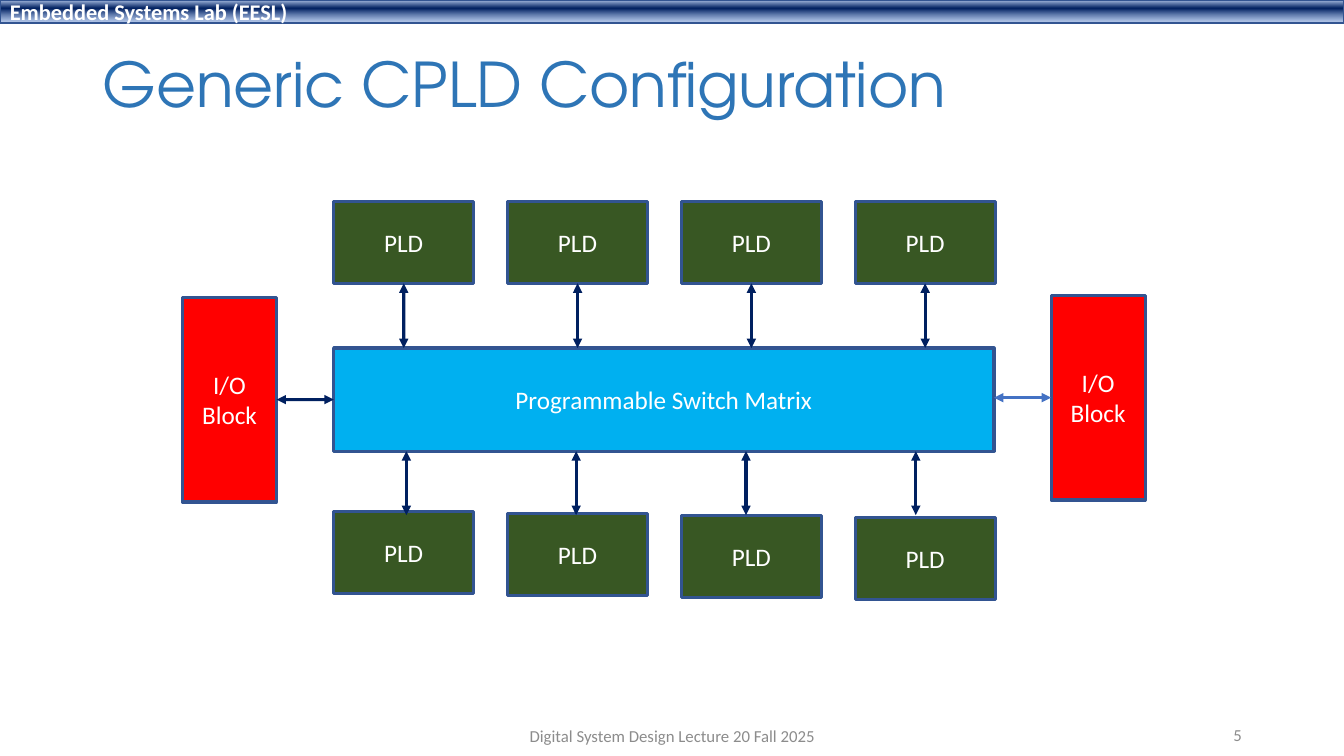
"""Build the slide that shows a generic CPLD configuration."""
from lxml import etree
from pptx import Presentation
from pptx.dml.color import RGBColor
from pptx.enum.shapes import MSO_CONNECTOR, MSO_SHAPE
from pptx.enum.text import MSO_ANCHOR, MSO_AUTO_SIZE, PP_ALIGN
from pptx.oxml.ns import qn
from pptx.util import Cm, Pt

RECT = MSO_SHAPE.RECTANGLE
STRAIGHT = MSO_CONNECTOR.STRAIGHT
MIDDLE = MSO_ANCHOR.MIDDLE
LEFT, CENTER, RIGHT = PP_ALIGN.LEFT, PP_ALIGN.CENTER, PP_ALIGN.RIGHT
BOTTOM_SITE, LEFT_SITE, RIGHT_SITE = 2, 1, 3

COLORS = {
    "outline": "325491", "navy": "002060", "blue": "4472C4",
    "title": "2E75B6", "matrix": "00B0F0", "pld": "385723",
    "io": "FF0000", "white": "FFFFFF", "grey": "8C8C8C",
    "band_top": "ABC0E4", "band_bottom": "7E9ED6",
}


def put_text(sp, text, size, color, align, font="Calibri", bold=False):
    tf = sp.text_frame
    tf.text = text
    tf.word_wrap = True
    tf.vertical_anchor = MIDDLE
    for p in tf.paragraphs:
        p.alignment = align
        for r in p.runs:
            r.font.name = font
            r.font.size = Pt(size)
            r.font.bold = bold
            r.font.color.rgb = RGBColor.from_string(COLORS[color])


def add_item(kind, x1, y1, x2, y2, color, text=""):
    if kind == "arrow":
        sp = s.shapes.add_connector(STRAIGHT, Cm(x1), Cm(y1), Cm(x2), Cm(y2))
        sp.line.color.rgb = RGBColor.from_string(COLORS[color])
        sp.line.width = Pt(2.25)
        ln = sp.line._get_or_add_ln()
        for end in ("a:headEnd", "a:tailEnd"):
            etree.SubElement(ln, qn(end), type="triangle")
        etree.SubElement(ln.getparent(), qn("a:effectLst"))
        return sp
    sp = s.shapes.add_shape(RECT, Cm(x1), Cm(y1), Cm(x2 - x1), Cm(y2 - y1))
    sp.shadow.inherit = False
    sp.fill.solid()
    sp.fill.fore_color.rgb = RGBColor.from_string(COLORS[color])
    sp.line.color.rgb = RGBColor.from_string(COLORS["outline"])
    sp.line.width = Pt(2.25)
    put_text(sp, text, 18, "white", CENTER)
    return sp


prs = Presentation()
prs.slide_width, prs.slide_height = Cm(33.87), Cm(19.05)
s = prs.slides.add_slide(prs.slide_layouts[5])

band = add_item("box", 0, 0, 33.87, 0.58, "navy")
band.line.width = Pt(1)
put_text(band, "Embedded Systems Lab (EESL)", 16, "white", LEFT, bold=True)
band.fill.gradient()
band.fill.gradient_angle = 270
stops = band.fill._fill._gradFill.find(qn("a:gsLst"))
for stop in list(stops):
    stops.remove(stop)
for percent, color, alpha in ((2, "band_top", 100), (38, "navy", 100), (93, "band_bottom", 64)):
    stop = etree.SubElement(stops, qn("a:gs"), pos=str(percent * 1000))
    rgb = etree.SubElement(stop, qn("a:srgbClr"), val=COLORS[color])
    etree.SubElement(rgb, qn("a:alpha"), val=str(alpha * 1000))

title = s.shapes.title
title.left, title.top, title.width, title.height = Cm(2.33), Cm(1.02), Cm(29.21), Cm(2.36)
put_text(title, "Generic CPLD Configuration", 44, "title", LEFT, "TeX Gyre Adventor")
title.text_frame.auto_size = MSO_AUTO_SIZE.NONE
title.text_frame.paragraphs[0].line_spacing = 0.9

matrix_x, matrix_y, matrix_right, matrix_bottom = 8.41, 8.77, 25.05, 11.37
matrix = add_item("box", matrix_x, matrix_y, matrix_right, matrix_bottom,
                  "matrix", "Programmable Switch Matrix")

pld_w, pld_h, pld_step = 3.53, 2.06, 4.38
upper_y, lower_y = 5.08, 12.9
for i in range(4):
    x = matrix_x + i * pld_step
    y = lower_y + i * 0.05
    upper = add_item("box", x, upper_y, x + pld_w, upper_y + pld_h, "pld", "PLD")
    add_item("box", x, y, x + pld_w, y + pld_h, "pld", "PLD")
    mid = x + pld_w / 2
    arrow = add_item("arrow", mid, upper_y + pld_h, mid, matrix_y, "navy")
    arrow.begin_connect(upper, BOTTOM_SITE)
    arrow_x = 10.24 + i * 4.28
    add_item("arrow", arrow_x, matrix_bottom, arrow_x, 12.98, "navy")

io_w, io_h = 2.37, 5.16
left_x, left_y, right_x, right_y = 4.6, 7.49, 26.49, 7.44
left_io = add_item("box", left_x, left_y, left_x + io_w, left_y + io_h, "io", "I/O\nBlock")
right_io = add_item("box", right_x, right_y, right_x + io_w, right_y + io_h, "io", "I/O\nBlock")
left_mid, right_mid = left_y + io_h / 2, right_y + io_h / 2
arrow = add_item("arrow", left_x + io_w, left_mid, matrix_x, left_mid, "navy")
arrow.begin_connect(left_io, RIGHT_SITE)
arrow.end_connect(matrix, LEFT_SITE)
arrow = add_item("arrow", matrix_right, right_mid, right_x, right_mid, "blue")
arrow.end_connect(right_io, LEFT_SITE)

for x, y, w, text, align in (
    (11.23, 18.03, 11.43, "Digital System Design Lecture 20 Fall 2025", CENTER),
    (23.93, 18.01, 7.62, "5", RIGHT),
):
    box = s.shapes.add_textbox(Cm(x), Cm(y), Cm(w), Cm(1.02))
    put_text(box, text, 12, "grey", align)

prs.save("out.pptx")
